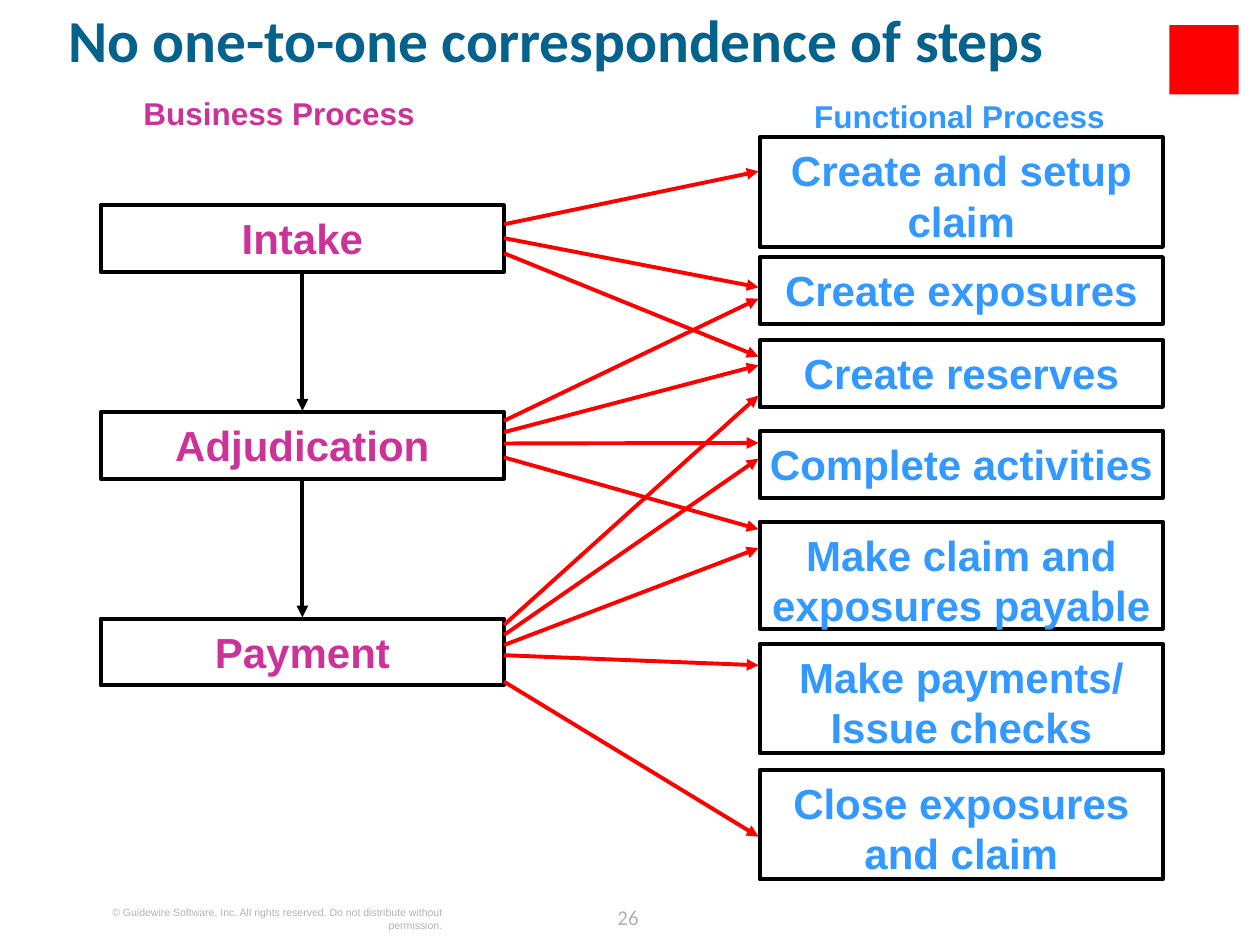
from dataclasses import dataclass

from lxml.etree import SubElement
from pptx import Presentation
from pptx.dml.color import RGBColor
from pptx.enum.shapes import MSO_CONNECTOR as Connector, MSO_SHAPE as Preset
from pptx.enum.text import MSO_ANCHOR as Anchor, MSO_AUTO_SIZE as AutoSize, PP_ALIGN as Align
from pptx.oxml.ns import qn
from pptx.util import Inches, Pt

TITLE = "No one-to-one correspondence of steps"
COPYRIGHT = "© Guidewire Software, Inc. All rights reserved. Do not distribute without permission."
PAGE = "26"
STEPS = ["Intake", "Adjudication", "Payment"]
FUNCTIONS = [
    ("Create and setup claim", 10.9, 8.7),
    ("Create exposures", 20.4, 5.3),
    ("Create reserves", 27.0, 5.3),
    ("Complete activities", 34.2, 5.3),
    ("Make claim and exposures payable", 41.4, 8.5),
    ("Make payments/ Issue checks", 51.1, 8.7),
    ("Close exposures and claim", 61.1, 8.7),
]
LINKS = {
    "Intake": [(17.8, 13.6), (18.9, 22.8), (20.1, 28.3)],
    "Adjudication": [(33.4, 23.7), (34.3, 29.0), (35.2, 35.15), (36.3, 42.0)],
    "Payment": [(49.6, 31.4), (50.4, 36.4), (51.2, 43.5), (52.0, 52.8), (54.1, 66.4)],
}


@dataclass(frozen=True)
class Theme:
    title: str = "04628C"
    business: str = "CC3399"
    functional: str = "3399FF"
    arrow: str = "FF0000"
    outline: str = "000000"
    muted: str = "B2B2B2"
    heading_font: str = "Calibri"
    body_font: str = "Arial"
    title_size: int = 34
    box_size: int = 24
    label_size: int = 18
    page_size: int = 12
    legal_size: int = 6
    line: float = 2.25


THEME = Theme()
COLUMNS = 100
WIDTH, HEIGHT = Inches(10), Inches(7.5)
BOX_WIDTH, STEP_HEIGHT = 32, 5.3
STEP_LEFT, FUNCTION_LEFT = 8, 60.3
STEP_TOP, STEP_PITCH = 16.3, 16.4


def grid(cells):
    return round(WIDTH * cells / COLUMNS)


def place(shape, left, top, width, height):
    shape.left, shape.top = grid(left), grid(top)
    shape.width, shape.height = grid(width), grid(height)


def write(shape, text, size, color, font=THEME.body_font, bold=True,
          align=Align.CENTER, inset=0.0):
    frame = shape.text_frame
    frame.word_wrap = True
    frame.auto_size = AutoSize.NONE
    frame.vertical_anchor = Anchor.TOP
    frame.margin_left = frame.margin_right = frame.margin_bottom = 0
    frame.margin_top = grid(inset)
    frame.text = text
    paragraph = frame.paragraphs[0]
    paragraph.alignment = align
    paragraph.font.name, paragraph.font.size = font, Pt(size)
    paragraph.font.bold = bold
    paragraph.font.color.rgb = RGBColor.from_string(color)
    return paragraph


def add_text(slide, area, *style, **options):
    return write(slide.shapes.add_textbox(*map(grid, area)), *style, **options)


def add_box(slide, area, text, color):
    shape = slide.shapes.add_shape(Preset.RECTANGLE, *map(grid, area))
    shape.shadow.inherit = False
    shape.fill.background()
    shape.line.color.rgb = RGBColor.from_string(THEME.outline)
    shape.line.width = Pt(THEME.line)
    write(shape, text, THEME.box_size, color, inset=0.6)


def add_arrow(slide, start, end, color):
    arrow = slide.shapes.add_connector(Connector.STRAIGHT, *map(grid, start + end))
    arrow.line.color.rgb = RGBColor.from_string(color)
    arrow.line.width = Pt(THEME.line)
    SubElement(arrow.line._get_or_add_ln(), qn("a:tailEnd"), type="triangle")
    SubElement(arrow._element.spPr, qn("a:effectLst"))


def main():
    presentation = Presentation()
    presentation.slide_width, presentation.slide_height = WIDTH, HEIGHT
    slide = presentation.slides.add_slide(presentation.slide_layouts[5])

    title = slide.shapes.title
    place(title, 5.4, 1.3, 91, 8.1)
    heading = write(title, TITLE, THEME.title_size, THEME.title, THEME.heading_font,
                    align=Align.LEFT)
    heading.line_spacing = 0.8

    for text, area, color in [
        ("Business Process", (6.4, 7.5, 31.5, 3), THEME.business),
        ("Functional Process", (60.4, 7.7, 31.5, 3), THEME.functional),
    ]:
        add_text(slide, area, text, THEME.label_size, color)

    for text, top, height in FUNCTIONS:
        add_box(slide, (FUNCTION_LEFT, top, BOX_WIDTH, height), text, THEME.functional)

    center = STEP_LEFT + BOX_WIDTH / 2
    for index, step in enumerate(STEPS):
        top = STEP_TOP + index * STEP_PITCH
        add_box(slide, (STEP_LEFT, top, BOX_WIDTH, STEP_HEIGHT), step, THEME.business)
        if index:
            previous_bottom = top - STEP_PITCH + STEP_HEIGHT
            add_arrow(slide, (center, previous_bottom), (center, top - 0.1), THEME.outline)
        for start, end in LINKS[step]:
            add_arrow(slide, (STEP_LEFT + BOX_WIDTH, start), (FUNCTION_LEFT - 0.1, end),
                      THEME.arrow)

    marker = slide.shapes.add_shape(Preset.RECTANGLE, *map(grid, (92.8, 2, 5.5, 5.5)))
    marker.shadow.inherit = False
    marker.fill.solid()
    marker.fill.fore_color.rgb = RGBColor.from_string(THEME.arrow)
    marker.line.fill.background()

    add_text(slide, (6.1, 71.9, 29, 2.1), COPYRIGHT, THEME.legal_size, THEME.muted,
             bold=False, align=Align.RIGHT)
    page = add_text(slide, (47, 71.3, 5.7, 2.5), PAGE, THEME.page_size, THEME.muted,
                    THEME.heading_font, bold=False)
    page.line_spacing = Pt(18)

    presentation.save("out.pptx")


if __name__ == "__main__":
    main()
